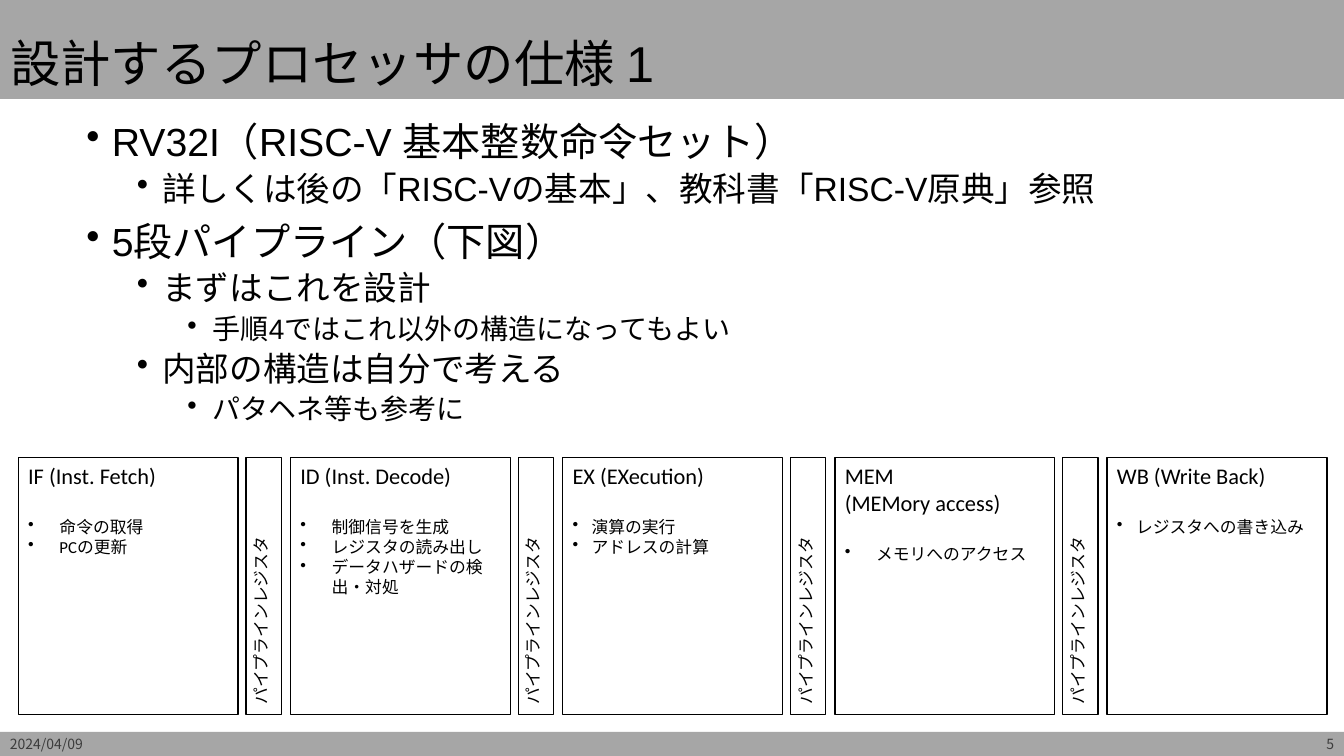
"""Build the slide on the processor specification and its five-stage pipeline."""
from dataclasses import dataclass

import pptx
import pptx.dml.color
import pptx.enum.shapes
import pptx.enum.text
import pptx.oxml
import pptx.oxml.ns
import pptx.util
from lxml import etree

Cm = pptx.util.Cm
Pt = pptx.util.Pt
RGBColor = pptx.dml.color.RGBColor
Anchor = pptx.enum.text.MSO_ANCHOR
Align = pptx.enum.text.PP_ALIGN

BLACK = RGBColor(0x00, 0x00, 0x00)
WHITE = RGBColor(0xFF, 0xFF, 0xFF)
BAR_GRAY = RGBColor(0xA6, 0xA6, 0xA6)
FOOTER_GRAY = RGBColor(0x3C, 0x3C, 0x3C)

PAGE_WIDTH, PAGE_HEIGHT = 33.87, 19.05
TITLE_HEIGHT = 2.49
FOOTER_HEIGHT = 0.61
FOOTER_TOP = PAGE_HEIGHT - FOOTER_HEIGHT
FOOTER_TEXT_WIDTH = 3.99
PIPELINE_TOP, PIPELINE_HEIGHT = 11.53, 6.48
STAGE_LEFT, STAGE_WIDTH, STAGE_PITCH = 0.46, 5.54, 6.86
REGISTER_LEFT, REGISTER_WIDTH = 6.2, 0.89
WIDE_INDENT, NARROW_INDENT = 0.79, 0.48
OUTLINE_SIZES = (28, 24, 20)


@dataclass(frozen=True)
class OutlineItem:
    """One bullet of the outline with its level."""
    level: int
    text: str


@dataclass(frozen=True)
class Stage:
    """One pipeline stage with its tasks and their bullet indent."""
    heading: str
    tasks: tuple[str, ...]
    indent: float


OUTLINE = (
    OutlineItem(0, "RV32I（RISC-V 基本整数命令セット）"),
    OutlineItem(1, "詳しくは後の「RISC-Vの基本」、教科書「RISC-V原典」参照"),
    OutlineItem(0, "5段パイプライン（下図）"),
    OutlineItem(1, "まずはこれを設計"),
    OutlineItem(2, "手順4ではこれ以外の構造になってもよい"),
    OutlineItem(1, "内部の構造は自分で考える"),
    OutlineItem(2, "パタヘネ等も参考に"),
)
STAGES = (
    Stage("IF (Inst. Fetch)", ("命令の取得", "PCの更新"), WIDE_INDENT),
    Stage("ID (Inst. Decode)",
          ("制御信号を生成", "レジスタの読み出し", "データハザードの検出・対処"), WIDE_INDENT),
    Stage("EX (EXecution)", ("演算の実行", "アドレスの計算"), NARROW_INDENT),
    Stage("MEM \v(MEMory access)", ("メモリへのアクセス",), WIDE_INDENT),
    Stage("WB (Write Back)", ("レジスタへの書き込み",), NARROW_INDENT),
)


def write(paragraph, text: str, size: float, font: str, color=BLACK, align=Align.LEFT) -> None:
    """Fill a paragraph and set its font and alignment."""
    paragraph.text = text
    paragraph.alignment = align
    paragraph.font.size = Pt(size)
    paragraph.font.name = font
    paragraph.font.color.rgb = color


def add_bullet(paragraph, margin: float, hanging: float) -> None:
    """Give a paragraph a round bullet with a hanging indent."""
    properties = paragraph._p.get_or_add_pPr()
    properties.set("marL", str(Cm(margin)))
    properties.set("indent", str(-Cm(hanging)))
    etree.SubElement(properties, pptx.oxml.ns.qn("a:buChar"), char="•")


def add_rectangle(page, left: float, top: float, width: float, height: float, fill=WHITE):
    """Add a plain rectangle whose text starts at the top."""
    box = page.shapes.add_shape(pptx.enum.shapes.MSO_SHAPE.RECTANGLE,
                                Cm(left), Cm(top), Cm(width), Cm(height))
    box.shadow.inherit = False
    box.fill.solid()
    box.fill.fore_color.rgb = fill
    box.line.fill.background()
    box.text_frame.vertical_anchor = Anchor.TOP
    box.text_frame.word_wrap = True
    return box


def add_pipeline_box(page, left: float, width: float):
    """Add an outlined box in the pipeline row."""
    box = add_rectangle(page, left, PIPELINE_TOP, width, PIPELINE_HEIGHT)
    box.line.color.rgb = BLACK
    box.line.width = Pt(1)
    return box


def add_stage(page, stage: Stage, left: float) -> None:
    """Add a stage box with heading and bulleted tasks."""
    frame = add_pipeline_box(page, left, STAGE_WIDTH).text_frame
    write(frame.paragraphs[0], stage.heading, 16, "Calibri")
    for index, task in enumerate(stage.tasks):
        paragraph = frame.add_paragraph()
        add_bullet(paragraph, stage.indent, stage.indent)
        paragraph.space_before = Pt(0 if index else 19.5)
        write(paragraph, task, 12, "Calibri")


def add_register(page, left: float) -> None:
    """Add a narrow pipeline register with upward text."""
    frame = add_pipeline_box(page, left, REGISTER_WIDTH).text_frame
    frame._txBody.bodyPr.set("vert", "vert270")
    write(frame.paragraphs[0], "パイプラインレジスタ", 12, "Calibri")


def add_title(page) -> None:
    """Place the title on its gray bar."""
    title = page.shapes.title
    title.left, title.top = Cm(0), Cm(0)
    title.width, title.height = Cm(PAGE_WIDTH), Cm(TITLE_HEIGHT)
    title.fill.solid()
    title.fill.fore_color.rgb = BAR_GRAY
    frame = title.text_frame
    frame.auto_size = pptx.enum.text.MSO_AUTO_SIZE.NONE
    frame.vertical_anchor = Anchor.BOTTOM
    frame.paragraphs[0].line_spacing = 0.9
    write(frame.paragraphs[0], "設計するプロセッサの仕様 1", 36, "Arial")


def add_outline(page) -> None:
    """Add the three-level outline."""
    frame = page.shapes.add_textbox(Cm(1.93), Cm(2.97), Cm(30), Cm(8.1)).text_frame
    frame.word_wrap = True
    for index, item in enumerate(OUTLINE):
        paragraph = frame.add_paragraph() if index else frame.paragraphs[0]
        paragraph.level = item.level
        add_bullet(paragraph, 0.64 + 1.27 * item.level, 0.64)
        paragraph.line_spacing = 0.9
        paragraph.space_before = Pt(5 if item.level else 10)
        write(paragraph, item.text, OUTLINE_SIZES[item.level], "Arial")


def add_footer_text(page, text: str, left: float, align) -> None:
    """Add a small text on the footer bar."""
    frame = page.shapes.add_textbox(Cm(left), Cm(FOOTER_TOP),
                                    Cm(FOOTER_TEXT_WIDTH), Cm(FOOTER_HEIGHT)).text_frame
    frame.word_wrap = True
    frame.vertical_anchor = Anchor.MIDDLE
    write(frame.paragraphs[0], text, 10, "Noto Sans CJK JP", FOOTER_GRAY, align)


def main() -> None:
    """Build and save the deck."""
    deck = pptx.Presentation()
    deck.slide_width, deck.slide_height = Cm(PAGE_WIDTH), Cm(PAGE_HEIGHT)
    page = deck.slides.add_slide(deck.slide_layouts[5])
    add_title(page)
    add_outline(page)
    add_rectangle(page, 0, FOOTER_TOP, PAGE_WIDTH, FOOTER_HEIGHT, BAR_GRAY)
    add_footer_text(page, "2024/04/09", 0, Align.LEFT)
    add_footer_text(page, "5", PAGE_WIDTH - FOOTER_TEXT_WIDTH, Align.RIGHT)
    for index, stage in enumerate(STAGES):
        add_stage(page, stage, STAGE_LEFT + index * STAGE_PITCH)
    for index in range(len(STAGES) - 1):
        add_register(page, REGISTER_LEFT + index * STAGE_PITCH)
    deck.save("out.pptx")


if __name__ == "__main__":
    main()
